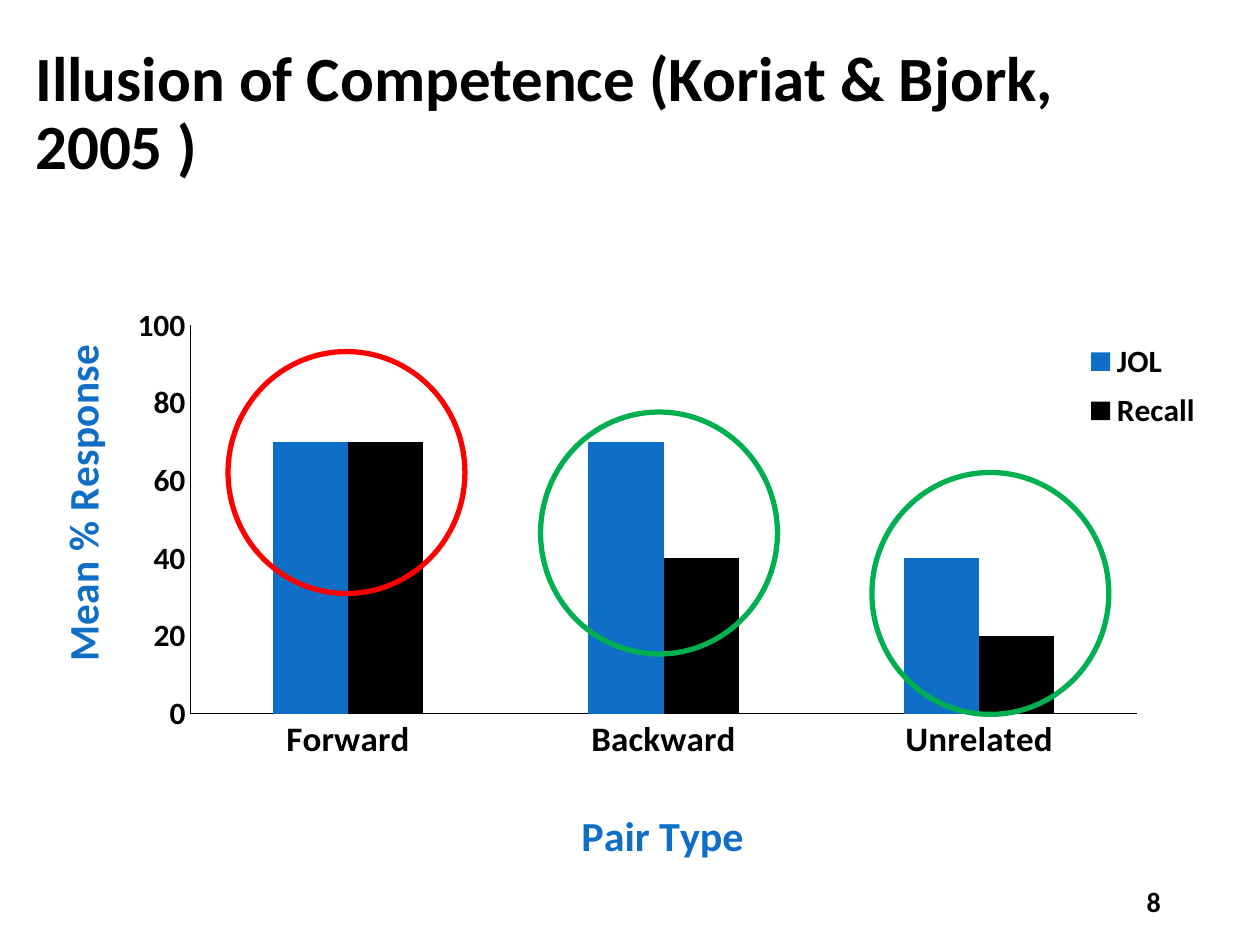
from pptx import Presentation
from pptx.chart.data import CategoryChartData
from pptx.dml.color import RGBColor
from pptx.enum.chart import XL_CHART_TYPE, XL_LEGEND_POSITION, XL_TICK_MARK
from pptx.enum.shapes import MSO_SHAPE
from pptx.enum.text import MSO_ANCHOR, PP_ALIGN
from pptx.oxml import parse_xml
from pptx.oxml.ns import nsdecls, qn
from pptx.util import Inches, Pt

BLUE, BLACK, RED, GREEN = "0F6FC6", "000000", "FF0000", "00B050"


def style(font, size, color=BLACK):
    font.name, font.size, font.bold = "Calibri", Pt(size), True
    font.color.rgb = RGBColor.from_string(color)


def place(node, index, inner=False, **spots):
    """Give a chart part a fixed layout, in fractions of the chart."""
    for old in node.findall(qn("c:layout")):
        node.remove(old)
    tags = '<c:layoutTarget val="inner"/>' if inner else ""
    tags += "".join(f'<c:{key}Mode val="edge"/>' for key in "xy")
    tags += "".join(f'<c:{key} val="{val}"/>' for key, val in spots.items())
    node.insert(index, parse_xml(
        f'<c:layout {nsdecls("c")}><c:manualLayout>{tags}</c:manualLayout></c:layout>'))


prs = Presentation()
prs.slide_width, prs.slide_height = Inches(10), Inches(7.5)
slide = prs.slides.add_slide(prs.slide_layouts[5])
shapes = slide.shapes

# Title
title = shapes.title
title.left, title.top = Inches(0.18), Inches(0.19)
title.width, title.height = Inches(8.62), Inches(1.45)
frame = title.text_frame
frame.text = "Illusion of Competence (Koriat & Bjork, 2005 )"
frame.vertical_anchor = MSO_ANCHOR.MIDDLE
para = frame.paragraphs[0]
para.alignment, para.line_spacing = PP_ALIGN.LEFT, 0.9
style(para.runs[0].font, 36)

# Slide number
box = shapes.add_textbox(Inches(7.06), Inches(6.95), Inches(2.25), Inches(0.4))
frame = box.text_frame
frame.word_wrap = True
frame.text = "8"
frame.vertical_anchor = MSO_ANCHOR.MIDDLE
para = frame.paragraphs[0]
para.alignment = PP_ALIGN.RIGHT
style(para.runs[0].font, 16)

# Chart
data = CategoryChartData()
data.categories = ["Forward", "Backward", "Unrelated"]
data.add_series("JOL", [70, 70, 40])
data.add_series("Recall", [70, 40, 20])
chart = shapes.add_chart(XL_CHART_TYPE.COLUMN_CLUSTERED, Inches(0.18), Inches(2.26),
                         Inches(9.51), Inches(4.69), data).chart
chart.has_title = False
chart.font.name, chart.font.size = "Calibri", Pt(10)
plot = chart.plots[0]
plot.gap_width, plot.overlap, plot.vary_by_categories = 219, 0, False
for series, color in zip(plot.series, (BLUE, BLACK)):
    series.format.fill.solid()
    series.format.fill.fore_color.rgb = RGBColor.from_string(color)
area = chart._chartSpace.find(".//" + qn("c:plotArea"))
place(area, 0, inner=True, x=0.14, y=0.07, w=0.79, h=0.67)

# Axes and their titles
scale = chart.value_axis
scale.minimum_scale, scale.maximum_scale, scale.major_unit = 0, 100, 20
scale.has_major_gridlines = False
for axis, text, size, x, y in [(chart.category_axis, "Pair Type", 20, 0.46, 0.89),
                               (scale, "Mean % Response", 18, 0.02, 0.1)]:
    axis.major_tick_mark = axis.minor_tick_mark = XL_TICK_MARK.NONE
    axis.format.line.color.rgb = RGBColor.from_string(BLACK)
    axis.format.line.width = Pt(0.75)
    style(axis.tick_labels.font, size)
    label = axis.axis_title
    label.text_frame.text = text
    style(label.text_frame.paragraphs[0].runs[0].font, 24, BLUE)
    place(label._element, 1, x=x, y=y)
turn = scale.axis_title.text_frame._txBody.bodyPr
turn.set("rot", "-5400000")
turn.set("vert", "horz")

# Legend
chart.has_legend = True
legend = chart.legend
legend.position, legend.include_in_layout = XL_LEGEND_POSITION.RIGHT, False
style(legend.font, 18)
place(legend._element, 1, x=0.88, y=0.08, w=0.11, h=0.19)

# Rings around the bar pairs
for left, top, color in [(4.29, 3.27, GREEN), (6.92, 3.75, GREEN), (1.81, 2.79, RED)]:
    ring = shapes.add_shape(MSO_SHAPE.OVAL, Inches(left), Inches(top),
                            Inches(1.88), Inches(1.92))
    ring.shadow.inherit = False
    ring.fill.background()
    ring.line.color.rgb = RGBColor.from_string(color)
    ring.line.width = Pt(3)

prs.save("out.pptx")
